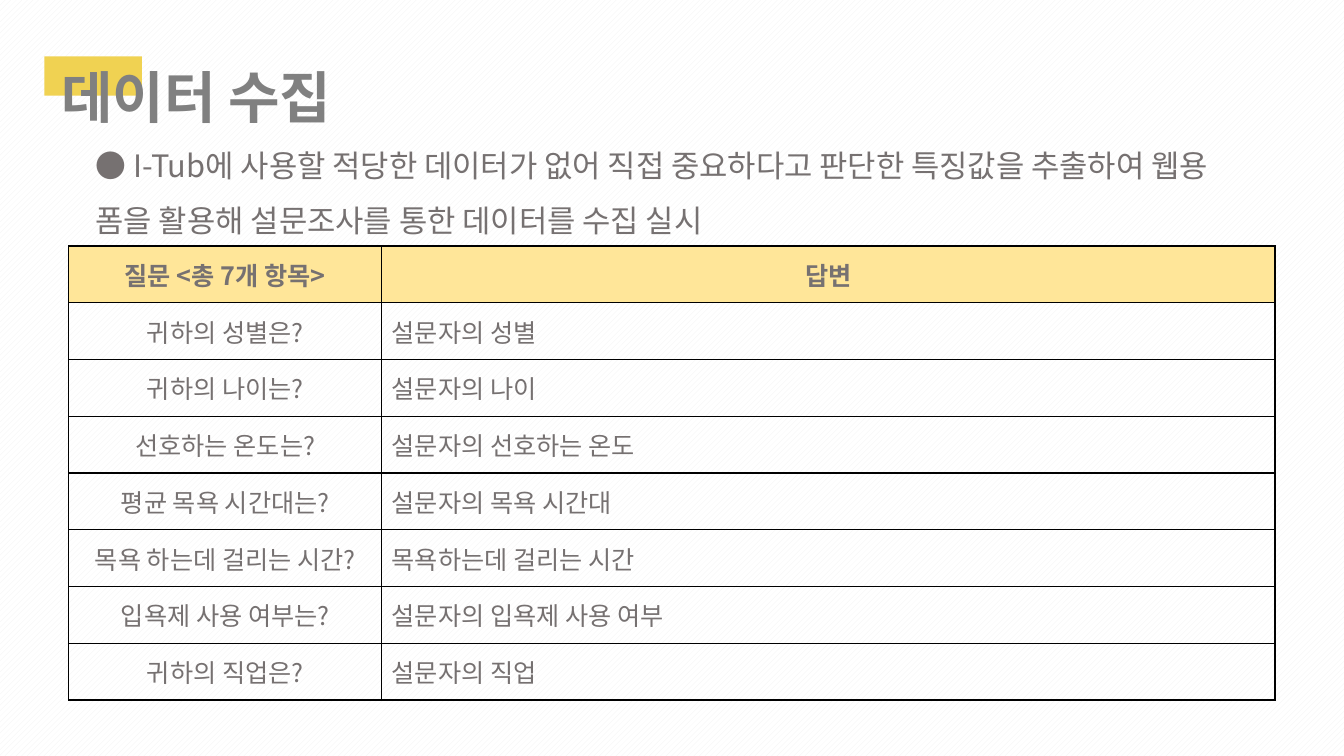
"""Builds the survey data collection slide."""
from lxml.etree import SubElement
from pptx import Presentation
from pptx.dml.color import RGBColor
from pptx.enum.dml import MSO_PATTERN
from pptx.enum.shapes import MSO_SHAPE
from pptx.enum.text import MSO_ANCHOR, MSO_AUTO_SIZE, PP_ALIGN
from pptx.oxml.ns import qn
from pptx.util import Cm, Pt

FONT = "Noto Sans CJK KR"
COLORS = {
    "paper": "FFFFFF",
    "stripe": "F2F2F2",
    "accent": "F0D252",
    "title": "808080",
    "body": "767171",
    "header": "FFE699",
    "border": "000000",
}
SURVEY = [
    ("질문 <총 7개 항목>", "답변"),
    ("귀하의 성별은?", "설문자의 성별"),
    ("귀하의 나이는?", "설문자의 나이"),
    ("선호하는 온도는?", "설문자의 선호하는 온도"),
    ("평균 목욕 시간대는?", "설문자의 목욕 시간대"),
    ("목욕 하는데 걸리는 시간?", "목욕하는데 걸리는 시간"),
    ("입욕제 사용 여부는?", "설문자의 입욕제 사용 여부"),
    ("귀하의 직업은?", "설문자의 직업"),
]
COLUMN_WIDTHS = (7.89, 22.51)
ROW_HEIGHT = 1.43


def color(name):
    return RGBColor.from_string(COLORS[name])


def write_text(frame, text, size=18, tint="body", bold=False,
               align=PP_ALIGN.LEFT, line_spacing=None):
    para = frame.paragraphs[0]
    para.alignment = align
    para.line_spacing = line_spacing
    span = para.add_run()
    span.text = text
    span.font.size = Pt(size)
    span.font.bold = bold
    span.font.color.rgb = color(tint)
    span.font.name = FONT
    SubElement(span.font._element, qn("a:ea"), typeface=FONT)


def set_background(page):
    fill = page.background.fill
    fill.patterned()
    fill.pattern = MSO_PATTERN.WIDE_UPWARD_DIAGONAL
    fill.fore_color.rgb = color("stripe")
    fill.back_color.rgb = color("paper")


def add_accent(page, left, top, width, height):
    block = page.shapes.add_shape(
        MSO_SHAPE.RECTANGLE, Cm(left), Cm(top), Cm(width), Cm(height))
    block.shadow.inherit = False
    block.fill.solid()
    block.fill.fore_color.rgb = color("accent")
    block.line.fill.background()


def add_text(page, text, left, top, width, height, **style):
    box = page.shapes.add_textbox(Cm(left), Cm(top), Cm(width), Cm(height))
    box.text_frame.word_wrap = True
    box.text_frame.auto_size = MSO_AUTO_SIZE.SHAPE_TO_FIT_TEXT
    write_text(box.text_frame, text, **style)


def set_borders(cell):
    properties = cell._tc.get_or_add_tcPr()
    for position, side in enumerate(("lnL", "lnR", "lnT", "lnB")):
        line = SubElement(properties, qn(f"a:{side}"), w=str(Pt(1)))
        fill = SubElement(line, qn("a:solidFill"))
        SubElement(fill, qn("a:srgbClr"), val=COLORS["border"])
        properties.insert(position, line)


def add_survey_table(page, left, top):
    table = page.shapes.add_table(
        len(SURVEY), len(COLUMN_WIDTHS), Cm(left), Cm(top),
        Cm(sum(COLUMN_WIDTHS)), Cm(ROW_HEIGHT * len(SURVEY))).table
    for column, width in zip(table.columns, COLUMN_WIDTHS):
        column.width = Cm(width)
    for row_index, texts in enumerate(SURVEY):
        table.rows[row_index].height = Cm(ROW_HEIGHT)
        is_header = row_index == 0
        for column_index, text in enumerate(texts):
            cell = table.cell(row_index, column_index)
            cell.vertical_anchor = MSO_ANCHOR.MIDDLE
            if is_header:
                cell.fill.solid()
                cell.fill.fore_color.rgb = color("header")
            else:
                cell.fill.background()
            set_borders(cell)
            centered = is_header or column_index == 0
            write_text(cell.text_frame, text, bold=is_header,
                       align=PP_ALIGN.CENTER if centered else PP_ALIGN.LEFT)


def main():
    deck = Presentation()
    deck.slide_width, deck.slide_height = Cm(33.87), Cm(19.05)
    page = deck.slides.add_slide(deck.slide_layouts[6])
    set_background(page)
    add_accent(page, 1.12, 1.42, 2.46, 0.99)
    add_text(page, "데이터 수집", 1.3, 1.45, 9.32, 1.96,
             size=40, tint="title", bold=True)
    add_survey_table(page, 1.73, 6.2)
    add_text(page, "● I-Tub에 사용할 적당한 데이터가 없어 직접 중요하다고 판단한 "
             "특징값을 추출하여 웹용 폼을 활용해 설문조사를 통한 데이터를 수집 실시",
             2.16, 3.1, 29.57, 2.9, size=22, line_spacing=1.5)
    deck.save("out.pptx")


if __name__ == "__main__":
    main()
